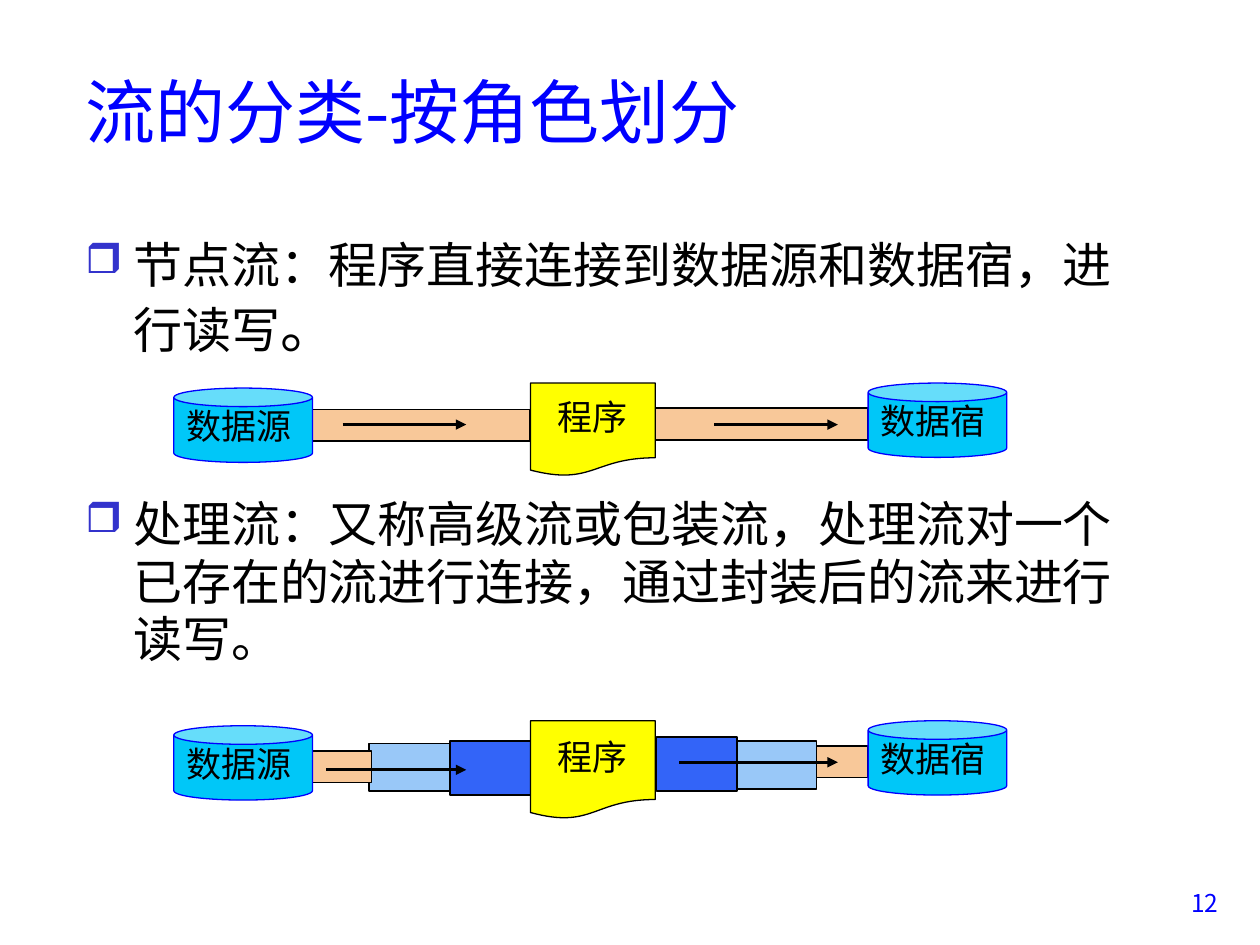
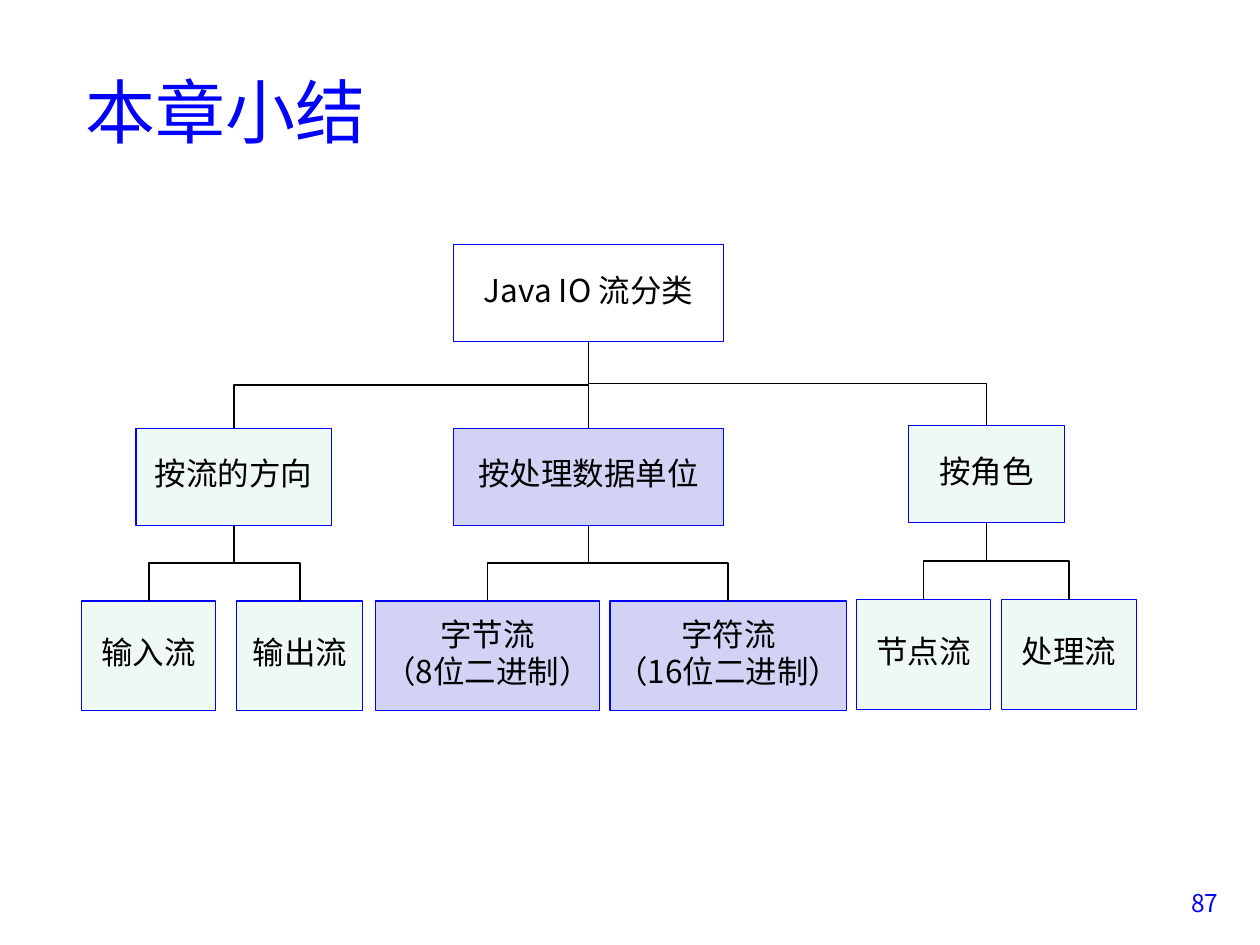
"""Build two slides on the classification of Java IO streams."""
from dataclasses import dataclass

from lxml import etree
from pptx import Presentation
from pptx.dml.color import RGBColor
from pptx.enum.shapes import MSO_CONNECTOR, MSO_SHAPE
from pptx.enum.text import MSO_ANCHOR, PP_ALIGN
from pptx.oxml.ns import qn
from pptx.shapes.autoshape import Shape
from pptx.shapes.connector import Connector
from pptx.slide import Slide
from pptx.text.text import TextFrame, _Paragraph
from pptx.util import Emu, Inches, Pt

CAN, DOCUMENT, RECTANGLE = MSO_SHAPE.CAN, MSO_SHAPE.FLOWCHART_DOCUMENT, MSO_SHAPE.RECTANGLE
STRAIGHT, ELBOW = MSO_CONNECTOR.STRAIGHT, MSO_CONNECTOR.ELBOW
LEFT, CENTER, RIGHT = PP_ALIGN.LEFT, PP_ALIGN.CENTER, PP_ALIGN.RIGHT
TOP, MIDDLE = MSO_ANCHOR.TOP, MSO_ANCHOR.MIDDLE
BOTTOM_SITE, TOP_SITE = 2, 0

BLUE = RGBColor(0x00, 0x00, 0xFF)
BLACK = RGBColor(0x00, 0x00, 0x00)
BULLET_BLUE = RGBColor(0x33, 0x33, 0xCC)
CYAN = RGBColor(0x00, 0xC7, 0xF8)
YELLOW = RGBColor(0xFF, 0xFF, 0x00)
ORANGE = RGBColor(0xF8, 0xC8, 0x99)
LIGHT_BLUE = RGBColor(0x99, 0xC8, 0xF8)
DEEP_BLUE = RGBColor(0x33, 0x64, 0xF8)
MINT = RGBColor(0xEE, 0xF9, 0xF4)
LAVENDER = RGBColor(0xD2, 0xD2, 0xF4)

FONT = "Noto Sans CJK SC"
COLUMNS, ROWS = 100, 75
SLIDE_WIDTH, SLIDE_HEIGHT = Inches(10), Inches(7.5)
HANGING = 3.8


@dataclass(frozen=True)
class Box:
    """A place on the grid, in columns and rows."""
    left: float
    top: float
    width: float
    height: float


@dataclass(frozen=True)
class Pipe:
    """A stretch of a stream, its top counted from the top of its pipeline."""
    box: Box
    fill: RGBColor


@dataclass(frozen=True)
class Arrow:
    """A horizontal arrow, its row counted from the top of its pipeline."""
    start: float
    end: float
    row: float


@dataclass(frozen=True)
class Pipeline:
    """A data source, a program and a data sink with the streams between them."""
    top: float
    program_height: float
    pipes: tuple[Pipe, ...]
    arrows: tuple[Arrow, ...]


@dataclass(frozen=True)
class Node:
    """A box of the classification tree with its branches."""
    lines: tuple[str, ...]
    box: Box
    fill: RGBColor | None
    children: tuple["Node", ...] = ()


TITLE_BOX = Box(5.8, 2.5, 85, 12.5)
BODY_BOX = Box(5.8, 17.5, 85, 50.8)
NUMBER_BOX = Box(91, 70, 6.7, 5)

PIPELINES = (
    Pipeline(30.4, 7.4,
             (Pipe(Box(24.8, 2.1, 17.3, 2.5), ORANGE), Pipe(Box(52, 2, 16.9, 2.5), ORANGE)),
             (Arrow(27.2, 37, 3.3), Arrow(56.7, 66.5, 3.3))),
    Pipeline(57.2, 7.8,
             (Pipe(Box(29.3, 1.8, 6.4, 3.8), LIGHT_BLUE), Pipe(Box(35.7, 1.6, 6.4, 4.3), DEEP_BLUE),
              Pipe(Box(58.4, 1.6, 6.4, 3.8), LIGHT_BLUE), Pipe(Box(52.1, 1.3, 6.4, 4.3), DEEP_BLUE),
              Pipe(Box(24.8, 2.4, 4.7, 2.5), ORANGE), Pipe(Box(64.8, 2, 4.1, 2.5), ORANGE)),
             (Arrow(25.9, 37, 3.9), Arrow(53.9, 66.5, 3.3))),
)


def category(text: str, left: float, top: float, width: float, fill: RGBColor, *leaves: Node) -> Node:
    """Describe a box of the middle level."""
    return Node((text,), Box(left, top, width, 7.7), fill, leaves)


def leaf(left: float, top: float, width: float, fill: RGBColor, *lines: str) -> Node:
    """Describe a box of the lowest level."""
    return Node(lines, Box(left, top, width, 8.7), fill)


TREE = Node(("Java IO 流分类",), Box(36, 19.4, 21.4, 7.7), None, (
    category("按流的方向", 10.8, 34, 15.5, MINT,
             leaf(6.5, 47.7, 10.6, MINT, "输入流"),
             leaf(18.8, 47.7, 10, MINT, "输出流")),
    category("按处理数据单位", 36, 34, 21.4, LAVENDER,
             leaf(29.8, 47.7, 17.8, LAVENDER, "字节流", "（8位二进制）"),
             leaf(48.4, 47.7, 18.8, LAVENDER, "字符流", "（16位二进制）")),
    category("按角色", 72.1, 33.8, 12.4, MINT,
             leaf(68, 47.6, 10.6, MINT, "节点流"),
             leaf(79.5, 47.6, 10.7, MINT, "处理流")),
))


def across(columns: float) -> Emu:
    """Turn columns into a length."""
    return Emu(round(SLIDE_WIDTH * columns / COLUMNS))


def down(rows: float) -> Emu:
    """Turn rows into a length."""
    return Emu(round(SLIDE_HEIGHT * rows / ROWS))


def place(box: Box) -> tuple[Emu, Emu, Emu, Emu]:
    """Turn a grid box into left, top, width and height."""
    return across(box.left), down(box.top), across(box.width), down(box.height)


def add_run(paragraph: _Paragraph, text: str, size: float, color: RGBColor) -> None:
    """Add one run in the shared font."""
    run = paragraph.add_run()
    run.text = text
    run.font.size = Pt(size)
    run.font.name = FONT
    run.font.color.rgb = color
    etree.SubElement(run.font._element, qn("a:ea"), typeface=FONT)


def hang(paragraph: _Paragraph) -> None:
    """Give a paragraph the hanging indent."""
    properties = paragraph._p.get_or_add_pPr()
    properties.set("marL", str(across(HANGING)))
    properties.set("indent", str(-across(HANGING)))


def add_text_box(slide: Slide, box: Box, anchor: MSO_ANCHOR) -> TextFrame:
    """Add a wrapping text box."""
    frame = slide.shapes.add_textbox(*place(box)).text_frame
    frame.word_wrap = True
    frame.vertical_anchor = anchor
    return frame


def add_frame(slide: Slide, title: str, number: int) -> None:
    """Add the title and the page number."""
    title_frame = add_text_box(slide, TITLE_BOX, MIDDLE)
    add_run(title_frame.paragraphs[0], title, 40, BLUE)
    number_paragraph = add_text_box(slide, NUMBER_BOX, TOP).paragraphs[0]
    number_paragraph.alignment = RIGHT
    add_run(number_paragraph, str(number), 14, BLUE)


def add_bullet(paragraph: _Paragraph, spacing: float, before: float) -> None:
    """Set the bullet and the spacing of a body paragraph."""
    hang(paragraph)
    paragraph.line_spacing = Pt(spacing)
    paragraph.space_before = Pt(before)
    properties = paragraph._p.get_or_add_pPr()
    color = etree.SubElement(properties, qn("a:buClr"))
    etree.SubElement(color, qn("a:srgbClr"), val=str(BULLET_BLUE))
    etree.SubElement(properties, qn("a:buSzPct"), val="85000")
    etree.SubElement(properties, qn("a:buChar"), char="❒")


def add_block(slide: Slide, kind: MSO_SHAPE, box: Box, fill: RGBColor | None,
              line: RGBColor, line_width: float) -> Shape:
    """Add a flat preset shape."""
    shape = slide.shapes.add_shape(kind, *place(box))
    shape.shadow.inherit = False
    if fill is None:
        shape.fill.background()
    else:
        shape.fill.solid()
        shape.fill.fore_color.rgb = fill
    shape.line.color.rgb = line
    shape.line.width = Pt(line_width)
    return shape


def add_label(shape: Shape, lines: tuple[str, ...], size: float, alignment: PP_ALIGN) -> None:
    """Write the lines of a label into a shape."""
    frame = shape.text_frame
    frame.word_wrap = True
    frame.vertical_anchor = MIDDLE
    if len(lines) > 1:
        frame.margin_left = frame.margin_right = frame.margin_top = frame.margin_bottom = 0
    for index, text in enumerate(lines):
        paragraph = frame.add_paragraph() if index else frame.paragraphs[0]
        paragraph.alignment = alignment
        paragraph.line_spacing = 0.8
        paragraph.space_before = Pt(size * 0.2)
        hang(paragraph)
        add_run(paragraph, text, size, BLACK)


def style_connector(connector: Connector, width: float) -> None:
    """Make a connector black and flat."""
    connector.line.color.rgb = BLACK
    connector.line.width = Pt(width)
    etree.SubElement(connector.element.spPr, qn("a:effectLst"))


def add_arrow(slide: Slide, arrow: Arrow, top: float) -> None:
    """Add a flow arrow."""
    row = down(top + arrow.row)
    connector = slide.shapes.add_connector(STRAIGHT, across(arrow.start), row, across(arrow.end), row)
    style_connector(connector, 1.75)
    etree.SubElement(connector.line._get_or_add_ln(), qn("a:tailEnd"), type="triangle")


def add_pipeline(slide: Slide, pipeline: Pipeline) -> None:
    """Draw one pipeline from source to sink."""
    top = pipeline.top
    for pipe in pipeline.pipes:
        box = Box(pipe.box.left, top + pipe.box.top, pipe.box.width, pipe.box.height)
        add_block(slide, RECTANGLE, box, pipe.fill, BLACK, 1)
    for text, left, drop in (("数据源", 13.8, 0.4), ("数据宿", 68.9, 0)):
        can = add_block(slide, CAN, Box(left, top + drop, 11, 5.9), CYAN, BLUE, 0.75)
        add_label(can, (text,), 20, LEFT)
    program_box = Box(42.1, top, 9.9, pipeline.program_height)
    program = add_block(slide, DOCUMENT, program_box, YELLOW, BLACK, 0.75)
    add_label(program, ("程序",), 20, CENTER)
    for arrow in pipeline.arrows:
        add_arrow(slide, arrow, top)


def join(slide: Slide, parent: Shape, child: Shape) -> None:
    """Run an elbow from the bottom of a parent to the top of a child."""
    start_x, end_x = (shape.left + shape.width // 2 for shape in (parent, child))
    start_y, end_y = parent.top + parent.height, child.top
    connector = slide.shapes.add_connector(ELBOW, start_x, start_y, end_x, end_y)
    connector.begin_connect(parent, BOTTOM_SITE)
    connector.end_connect(child, TOP_SITE)
    length, spread = end_y - start_y, abs(end_x - start_x)
    connector.left = Emu((start_x + end_x - length) // 2)
    connector.top = Emu((start_y + end_y - spread) // 2)
    connector.width, connector.height = Emu(length), Emu(spread)
    rightward = end_x > start_x
    transform = connector.element.spPr.find(qn("a:xfrm"))
    transform.set("rot", str((270 if rightward else 90) * 60000))
    transform.set("flipH", str(int(rightward)))
    transform.set("flipV", "0")
    style_connector(connector, 1)


def add_node(slide: Slide, node: Node) -> Shape:
    """Draw a tree box, its branches and the elbows to them."""
    shape = add_block(slide, RECTANGLE, node.box, node.fill, BLUE, 0.75)
    add_label(shape, node.lines, 18, CENTER)
    for child in node.children:
        join(slide, shape, add_node(slide, child))
    return shape


def build_roles(slide: Slide) -> None:
    """Fill the slide on node streams and processing streams."""
    add_frame(slide, "流的分类-按角色划分", 12)
    body = add_text_box(slide, BODY_BOX, TOP)
    node_stream, processing_stream = body.paragraphs[0], body.add_paragraph()
    add_bullet(node_stream, 38, 0)
    add_run(node_stream, "节点流：程序直接连接到数据源和数据宿，进行读写", 28, BLACK)
    add_run(node_stream, "。", 32, BLACK)
    add_bullet(processing_stream, 33, 77)
    add_run(processing_stream, "处理流：又称高级流或包装流，处理流对一个已存在的流进行连接，"
            "通过封装后的流来进行读写。", 28, BLACK)
    for pipeline in PIPELINES:
        add_pipeline(slide, pipeline)


def build_summary(slide: Slide) -> None:
    """Fill the slide with the classification tree."""
    add_frame(slide, "本章小结", 87)
    add_node(slide, TREE)


def main() -> None:
    """Build and save the presentation."""
    presentation = Presentation()
    presentation.slide_width, presentation.slide_height = SLIDE_WIDTH, SLIDE_HEIGHT
    blank = presentation.slide_layouts[6]
    for build in (build_roles, build_summary):
        build(presentation.slides.add_slide(blank))
    presentation.save("out.pptx")


if __name__ == "__main__":
    main()
